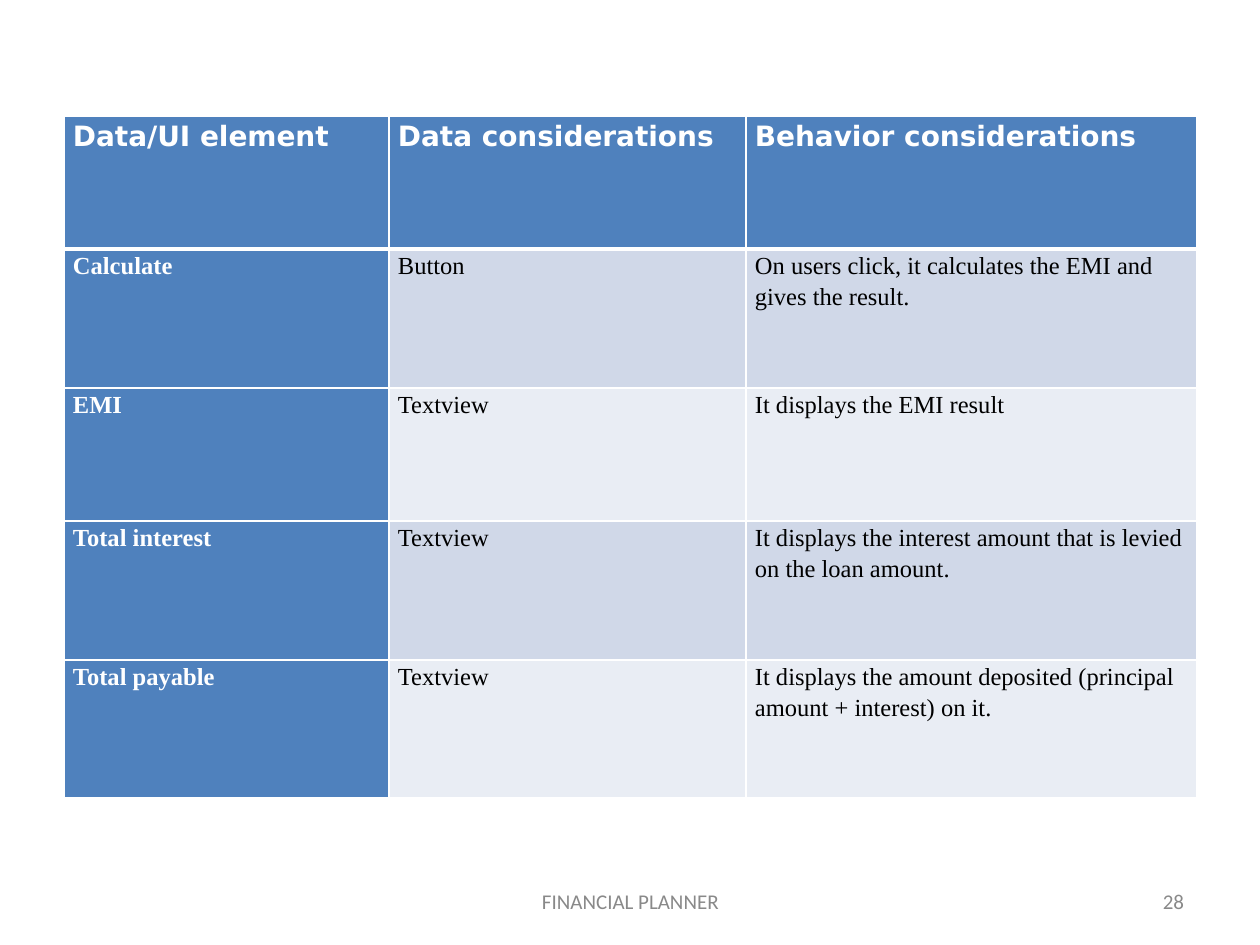
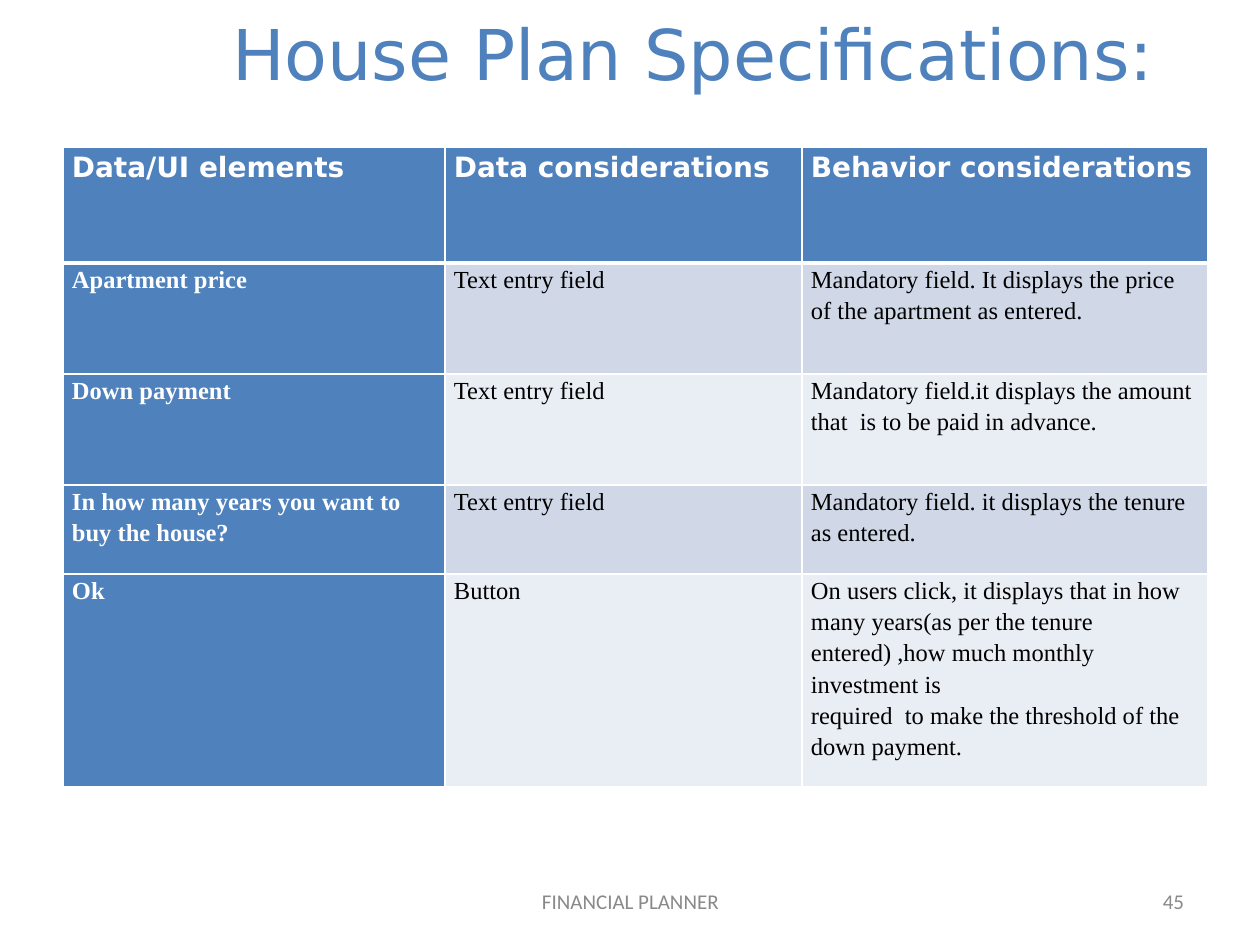
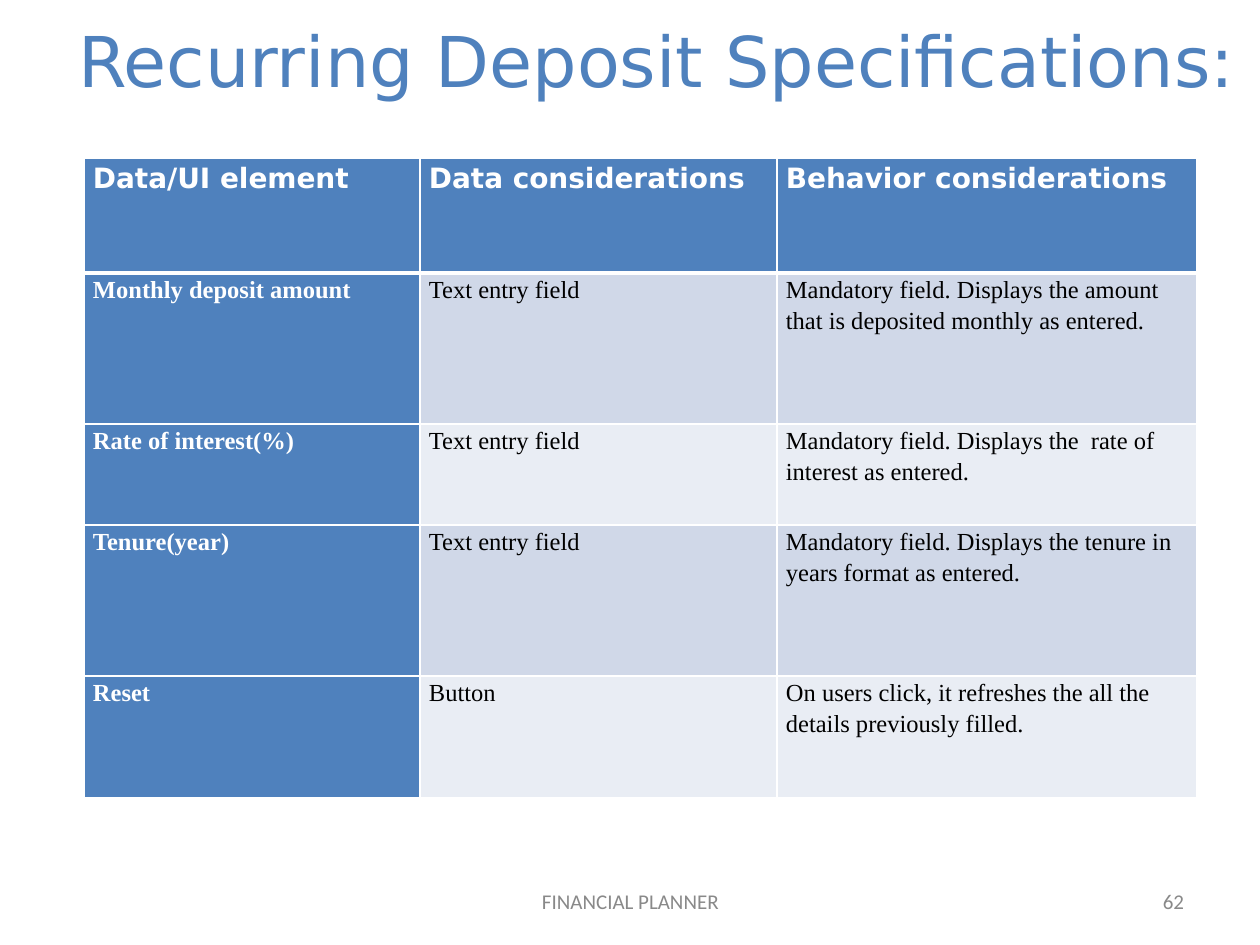
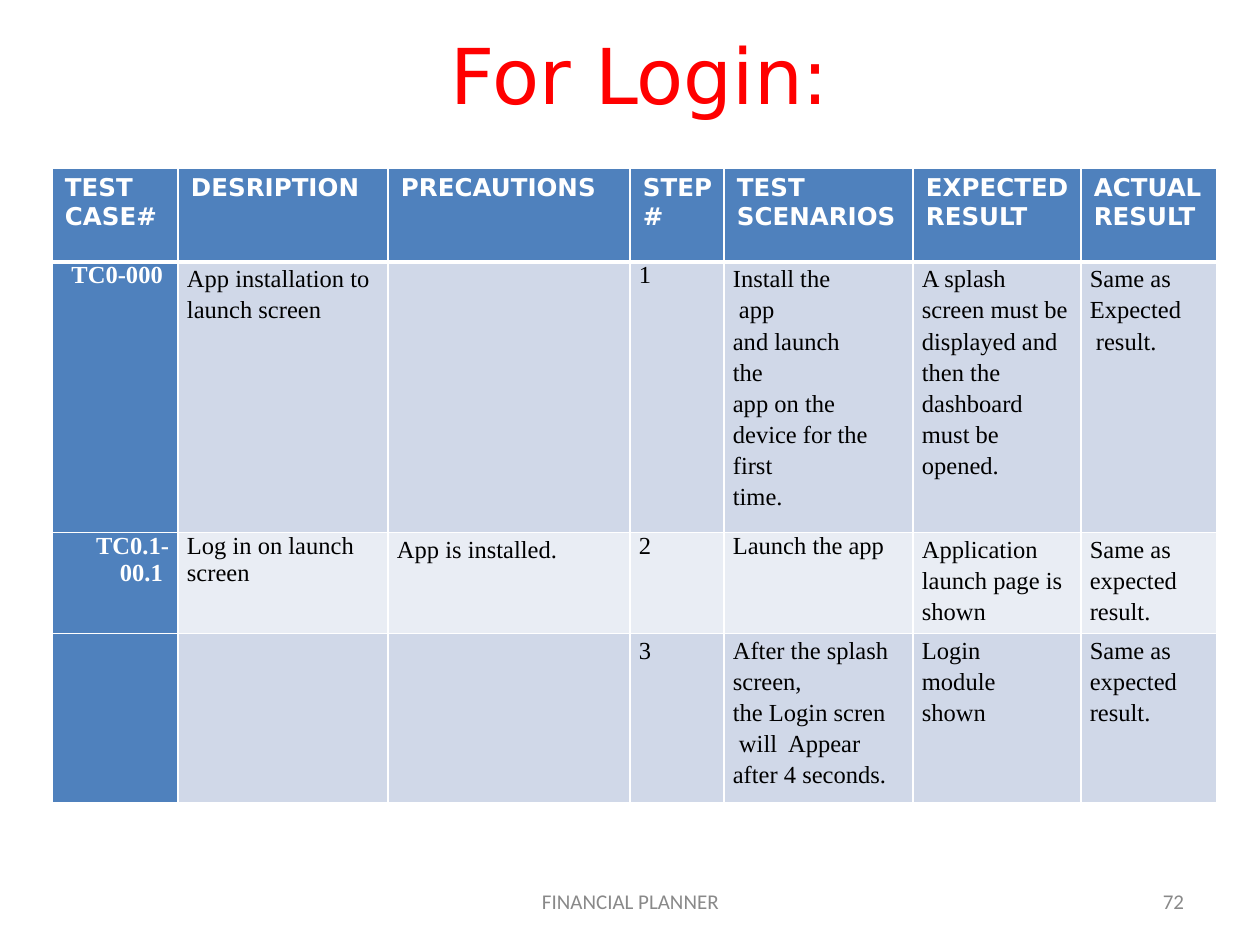
from lxml import etree
from pptx import Presentation
from pptx import util as u
from pptx.dml.color import RGBColor
from pptx.enum import text as t
from pptx.oxml import ns

SCALE = u.Inches(1) / 126
BLUE = RGBColor(0x4F, 0x81, 0xBD)
BAND_DARK = RGBColor(0xD0, 0xD8, 0xE8)
BAND_LIGHT = RGBColor(0xE9, 0xED, 0xF4)
WHITE = RGBColor(0xFF, 0xFF, 0xFF)
BLACK = RGBColor(0, 0, 0)
RED = RGBColor(0xFF, 0, 0)
GREY = RGBColor(0x89, 0x89, 0x89)
HEADING_FONT = "DejaVu Sans"
BODY_FONT = "Times New Roman"
FOOTER_FONT = "Calibri"


def px(length):
    return u.Emu(round(length * SCALE))


def write(frame, text, font=BODY_FONT, size=14, color=BLACK, bold=False,
          align=t.PP_ALIGN.LEFT, spacing=None):
    for index, line in enumerate(text.split("\n")):
        paragraph = frame.add_paragraph() if index else frame.paragraphs[0]
        paragraph.alignment = align
        paragraph.line_spacing = spacing
        run = paragraph.add_run()
        run.text = line
        run.font.name = font
        run.font.size = u.Pt(size)
        run.font.bold = bold
        run.font.color.rgb = color


def set_borders(cell, **widths):
    properties = cell._tc.get_or_add_tcPr()
    for position, side in enumerate("LRTB"):
        line = etree.Element(ns.qn(f"a:ln{side}"), w=str(u.Pt(widths.get(side, 1))))
        fill = etree.SubElement(line, ns.qn("a:solidFill"))
        etree.SubElement(fill, ns.qn("a:srgbClr"), val=str(WHITE))
        properties.insert(position, line)


class Deck:
    def __init__(self):
        self.presentation = Presentation()
        self.presentation.slide_width = px(1260)
        self.presentation.slide_height = px(945)
        self.slide = None

    def add_slide(self, number):
        self.slide = self.presentation.slides.add_slide(self.presentation.slide_layouts[6])
        style = dict(font=FOOTER_FONT, size=12, color=GREY)
        middle = t.MSO_ANCHOR.MIDDLE
        self.add_text("FINANCIAL PLANNER", 431, 876, 399, 50, middle, 13,
                      align=t.PP_ALIGN.CENTER, **style)
        self.add_text(str(number), 903, 876, 294, 50, middle, 13,
                      align=t.PP_ALIGN.RIGHT, **style)

    def add_text(self, text, left, top, width, height, anchor, inset, **style):
        shape = self.slide.shapes.add_textbox(px(left), px(top), px(width), px(height))
        frame = shape.text_frame
        frame.word_wrap = True
        frame.vertical_anchor = anchor
        frame.margin_left = frame.margin_right = px(inset)
        frame.margin_top = frame.margin_bottom = 0
        write(frame, text, **style)

    def add_title(self, text, left, top, width, height, size=40, color=BLUE):
        self.add_text(text, left, top, width, height, t.MSO_ANCHOR.TOP, 0,
                      font=HEADING_FONT, size=size, color=color, align=t.PP_ALIGN.CENTER)

    def add_table(self, left, top, widths, heights, rows, header_size=16,
                  header_spacing=1.15, header_insets=(9, 9, 0),
                  key_align=t.PP_ALIGN.LEFT, single_spaced=()):
        table = self.slide.shapes.add_table(
            len(rows), len(widths), px(left), px(top),
            px(sum(widths)), px(sum(heights))).table
        table.horz_banding = False
        table.first_col = True
        for column, width in zip(table.columns, widths):
            column.width = px(width)
        for row, height in zip(table.rows, heights):
            row.height = px(height)
        for row_index, texts in enumerate(rows):
            for column_index, text in enumerate(texts):
                cell = table.cell(row_index, column_index)
                header, key = row_index == 0, column_index == 0
                before, after, end = header_insets if header else (9, 9, 0)
                cell.margin_left, cell.margin_right = px(before), px(after)
                cell.margin_top = cell.margin_bottom = px(end)
                cell.fill.solid()
                band = BAND_DARK if row_index % 2 else BAND_LIGHT
                cell.fill.fore_color.rgb = BLUE if header or key else band
                set_borders(cell, T=3 if row_index == 1 else 1, B=3 if header else 1)
                if not text:
                    continue
                if header:
                    style = dict(font=HEADING_FONT, size=header_size, spacing=header_spacing)
                else:
                    single = (row_index, column_index) in single_spaced
                    style = dict(spacing=None if single else 1.15)
                    if key:
                        style["align"] = key_align
                write(cell.text_frame, text, bold=header or key,
                      color=WHITE if header or key else BLACK, **style)


HEADER = ("Data/UI element", "Data considerations", "Behavior considerations")


def build_calculator(deck):
    deck.add_slide(28)
    deck.add_table(64, 116, (325, 357, 451), (133, 139, 133, 139, 138), [
        HEADER,
        ("Calculate", "Button",
         "On users click, it calculates the EMI and\ngives the result."),
        ("EMI", "Textview", "It displays the EMI result"),
        ("Total interest", "Textview",
         "It displays the interest amount that is levied on the loan amount."),
        ("Total payable", "Textview",
         "It displays the amount deposited (principal\namount + interest) on it."),
    ])


def build_house_plan(deck):
    deck.add_slide(45)
    deck.add_table(63, 147, (382, 357, 406), (116, 111, 111, 89, 213), [
        ("Data/UI elements",) + HEADER[1:],
        ("Apartment price", "Text entry field",
         "Mandatory field. It displays the price\nof the apartment as entered."),
        ("Down payment", "Text entry field",
         "Mandatory field.it displays the amount that  is to be paid in advance."),
        ("In how many years you want to\nbuy the house?", "Text entry field",
         "Mandatory field. it displays the tenure\nas entered."),
        ("Ok", "Button",
         "On users click, it displays that in how many years(as per the tenure entered) "
         ",how much monthly investment is\n"
         "required  to make the threshold of the down payment."),
    ])
    deck.add_title("House Plan Specifications:", 147, 11, 1092, 115)


def build_recurring_deposit(deck):
    deck.add_slide(62)
    deck.add_table(84, 158, (336, 357, 420), (115, 151, 101, 151, 122), [
        HEADER,
        ("Monthly deposit amount", "Text entry field",
         "Mandatory field. Displays the amount\nthat is deposited monthly as entered."),
        ("Rate of interest(%)", "Text entry field",
         "Mandatory field. Displays the  rate of\ninterest as entered."),
        ("Tenure(year)", "Text entry field",
         "Mandatory field. Displays the tenure in years format as entered."),
        ("Reset", "Button",
         "On users click, it refreshes the all the\ndetails previously filled."),
    ])
    deck.add_title("Recurring Deposit Specifications:", 53, 18, 1207, 123)


def build_login_tests(deck):
    deck.add_slide(72)
    deck.add_title("For Login:", 73, 28, 1134, 130, size=44, color=RED)
    same_result = "Same as\nexpected\nresult."
    deck.add_table(
        52, 168, (126, 210, 242, 94, 189, 168, 136), (94, 52, 52, 52), [
            ("TEST CASE#", "DESRIPTION", "PRECAUTIONS", "STEP#", "TEST SCENARIOS",
             "EXPECTED RESULT", "ACTUAL RESULT"),
            ("TC0-000 ", "App installation to\nlaunch screen", "", "1",
             "Install the\n app\nand launch\nthe\napp on the\ndevice for the\nfirst\ntime.",
             "A splash\nscreen must be\ndisplayed and\nthen the\ndashboard\nmust be\nopened.",
             "Same as\nExpected\n result."),
            ("TC0.1-00.1 ", "Log in on launch screen", "App is installed.", "2",
             "Launch the app", "Application\nlaunch page is\nshown", same_result),
            ("", "", "", "3",
             "After the splash screen,\nthe Login scren\n will  Appear\nafter 4 seconds.",
             "Login\nmodule\nshown", same_result),
        ],
        header_size=14, header_spacing=None, header_insets=(13, 9, 6),
        key_align=t.PP_ALIGN.RIGHT,
        single_spaced={(1, 0), (1, 3), (2, 0), (2, 1), (2, 3), (2, 4)})


def main():
    deck = Deck()
    build_calculator(deck)
    build_house_plan(deck)
    build_recurring_deposit(deck)
    build_login_tests(deck)
    deck.presentation.save("out.pptx")


if __name__ == "__main__":
    main()
